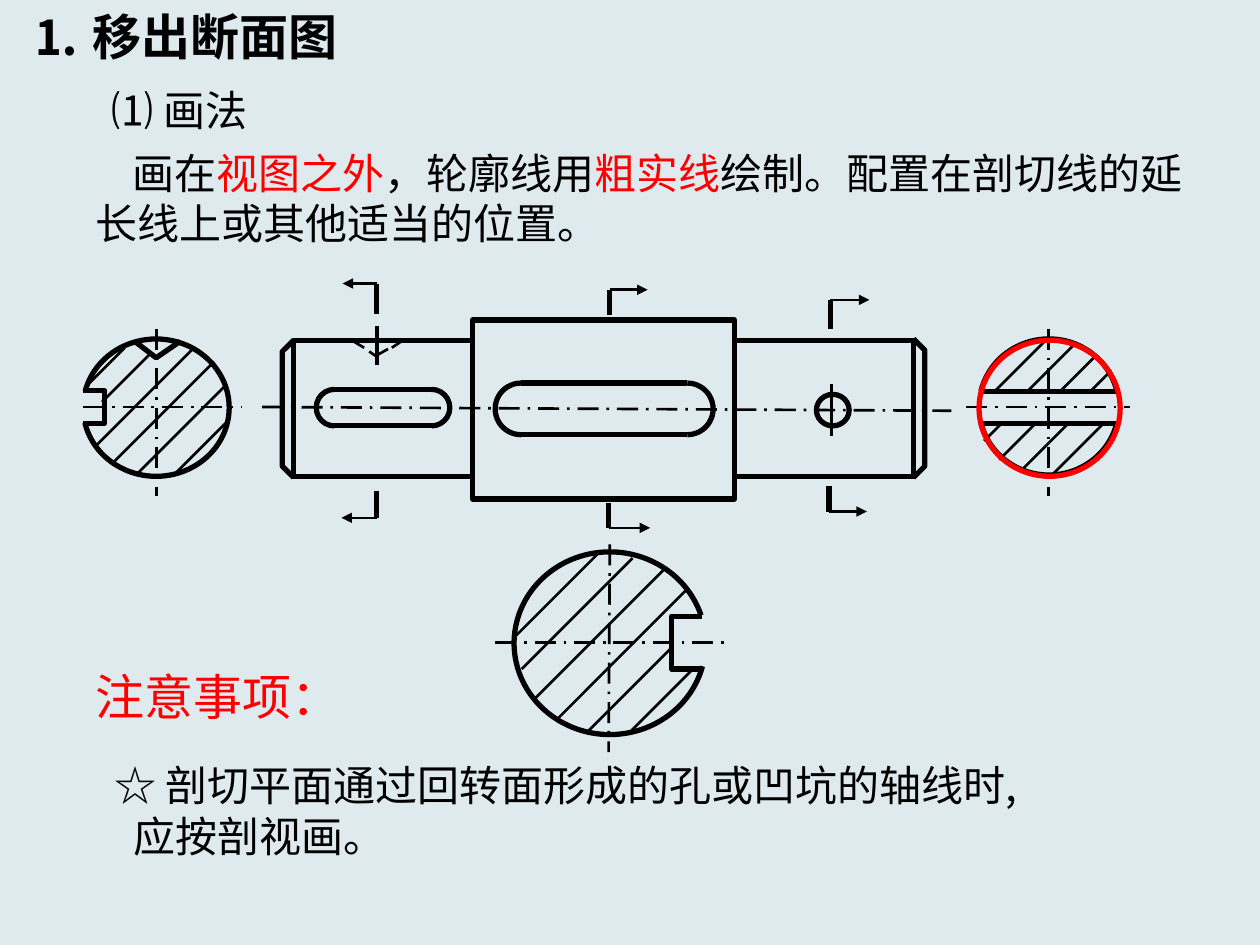
from dataclasses import dataclass
from typing import NamedTuple

from lxml import etree
from pptx import Presentation
from pptx.dml.color import RGBColor
from pptx.enum.dml import MSO_LINE
from pptx.enum.shapes import MSO_CONNECTOR, MSO_SHAPE
from pptx.enum.text import MSO_ANCHOR, PP_ALIGN
from pptx.oxml.ns import qn
from pptx.util import Inches, Pt

STRAIGHT = MSO_CONNECTOR.STRAIGHT
ARC, OVAL, RECT = MSO_SHAPE.ARC, MSO_SHAPE.OVAL, MSO_SHAPE.RECTANGLE
DASHDOT = MSO_LINE.LONG_DASH_DOT
TOP, MIDDLE = MSO_ANCHOR.TOP, MSO_ANCHOR.MIDDLE
LEFT, CENTER = PP_ALIGN.LEFT, PP_ALIGN.CENTER


@dataclass(frozen=True)
class Theme:
    ink: RGBColor = RGBColor(0, 0, 0)
    red: RGBColor = RGBColor(255, 0, 0)
    back: RGBColor = RGBColor(0xDE, 0xEA, 0xEE)
    font: str = "Noto Sans CJK SC"
    head: int = 28
    body: int = 24
    thick: float = 3
    mid: float = 2.25
    thin: float = 1.5


THEME = Theme()


class Box(NamedTuple):
    x: float
    y: float
    w: float
    h: float


class Line(NamedTuple):
    x1: float
    y1: float
    x2: float
    y2: float
    width: float = THEME.thin


class Hatch(NamedTuple):
    """A 45 degree line rising from its lower left end."""
    x: float
    y: float
    size: float


class Cut(NamedTuple):
    x: float
    y: float
    end: float
    tip: float


class Arc(NamedTuple):
    box: Box
    start: float
    stop: float


class Para(NamedTuple):
    runs: list
    margin: float = 0
    indent: float = 0


@dataclass(frozen=True)
class Note:
    box: Box
    paras: list
    size: int = THEME.body
    bold: bool = False
    anchor: MSO_ANCHOR = MIDDLE
    align: PP_ALIGN = LEFT


# Axes, hatching and cutting marks
AXES = [
    Line(7.67, 3.23, 8.97, 3.23), Line(8.32, 2.61, 8.32, 3.94),
    Line(3.93, 5.1, 5.75, 5.1), Line(4.84, 4.32, 4.83, 5.97),
    Line(0.66, 3.23, 1.92, 3.23), Line(1.24, 2.61, 1.24, 3.94),
    Line(2.08, 3.23, 7.55, 3.26),
]
HATCHES = [
    # right section
    Hatch(8.16, 3.1, 0.36), Hatch(7.9, 3.1, 0.42), Hatch(8.42, 3.1, 0.28),
    Hatch(8.65, 3.11, 0.17), Hatch(7.93, 3.65, 0.28), Hatch(7.81, 3.5, 0.13),
    Hatch(8.1, 3.74, 0.38), Hatch(8.33, 3.79, 0.43),
    # lower section
    Hatch(5, 5.81, 0.5), Hatch(4.24, 5.55, 1.05), Hatch(4.14, 5.31, 0.88),
    Hatch(4.08, 5.06, 0.67), Hatch(4.43, 5.7, 1.01), Hatch(4.66, 5.81, 0.67),
    # left section
    Hatch(1.08, 3.77, 0.72), Hatch(0.89, 3.68, 0.81), Hatch(0.75, 3.55, 0.78),
    Hatch(0.81, 3.19, 0.39), Hatch(0.7, 3.05, 0.29), Hatch(1.37, 3.78, 0.45),
]
CUTS = [
    Cut(2.99, 2.25, 2.49, 2.72), Cut(2.99, 4.11, 3.9, 2.71),
    Cut(4.84, 2.3, 2.5, 5.14), Cut(4.83, 4.19, 3.99, 5.16),
    Cut(6.59, 2.38, 2.61, 6.9), Cut(6.58, 4.06, 3.86, 6.88),
]

# Outlines of shaft and sections
SHAFT = [Box(2.33, 2.7, 1.42, 1.08), Box(5.83, 2.7, 1.42, 1.08),
         Box(3.75, 2.54, 2.08, 1.42)]
SLOTS = [Box(2.51, 3.09, 1.06, 0.29), Box(3.93, 3.04, 1.73, 0.41)]
HOLE = Box(6.48, 3.13, 0.26, 0.25)
RING = Box(7.77, 2.7, 1.12, 1.08)
ARCS = [
    Arc(Box(0.66, 2.69, 1.16, 1.09), 193, 168),
    Arc(Box(4.08, 4.38, 1.52, 1.45), 14, 343),
    Arc(Box(7.77, 2.69, 1.11, 1.08), 193, 347),
    Arc(Box(7.77, 2.69, 1.11, 1.08), 13, 167),
]
PATHS = [
    [(2.33, 2.7), (2.24, 2.79), (2.24, 3.7), (2.33, 3.79)],
    [(7.25, 2.69), (7.34, 2.78), (7.34, 3.7), (7.25, 3.79)],
    [(0.66, 3.1), (0.83, 3.1), (0.83, 3.36), (0.66, 3.36)],
    [(5.57, 4.89), (5.33, 4.89), (5.33, 5.31), (5.58, 5.31)],
    [(1.07, 2.71), (1.24, 2.84), (1.43, 2.71)],
]
LINES = [
    Line(7.77, 3.11, 8.88, 3.11, THEME.thick),
    Line(7.77, 3.36, 8.88, 3.36, THEME.thick),
    Line(2.99, 2.59, 2.99, 2.9, THEME.mid), Line(6.6, 3.05, 6.6, 3.46),
    # hidden pit
    Line(2.99, 2.82, 3.08, 2.77), Line(3.11, 2.76, 3.2, 2.7),
    Line(2.99, 2.83, 2.93, 2.79), Line(2.89, 2.76, 2.79, 2.7),
]

NOTES = [
    Note(Box(0.16, 0, 4.23, 0.57), [Para([("⒈ 移出断面图", THEME.ink)])],
         THEME.head, True, TOP),
    Note(Box(0.32, 0.62, 2.21, 0.5), [Para([("⑴ 画法", THEME.ink)])],
         align=CENTER),
    Note(Box(0.66, 1.12, 8.85, 0.9), [Para([
        ("画在", THEME.ink), ("视图之外", THEME.red),
        ("，轮廓线用", THEME.ink), ("粗实线", THEME.red),
        ("绘制。配置在剖切线的延长线上或其他适当的位置。", THEME.ink)],
        indent=0.29)]),
    Note(Box(0.66, 5.24, 2.87, 0.57), [Para([("注意事项：", THEME.red)])],
         THEME.head, anchor=TOP),
    Note(Box(0.81, 5.98, 8.86, 0.9), [
        Para([("☆ 剖切平面通过回转面形成的孔或凹坑的轴线时,", THEME.ink)]),
        Para([("应按剖视画。", THEME.ink)], margin=0.15)]),
]


def draw_line(shapes, line: Line, dash=None, arrow: bool = False) -> None:
    ends = [Inches(v) for v in line[:4]]
    item = shapes.add_connector(STRAIGHT, *ends)
    item.line.color.rgb = THEME.ink
    item.line.width = Pt(line.width)
    if dash:
        item.line.dash_style = dash
    if arrow:
        etree.SubElement(item.line._get_or_add_ln(), qn("a:tailEnd"),
                         type="triangle")
    etree.SubElement(item._element.spPr, qn("a:effectLst"))


def style(shape, color: RGBColor = THEME.ink) -> None:
    shape.shadow.inherit = False
    shape.fill.background()
    shape.line.color.rgb = color
    shape.line.width = Pt(THEME.thick)


def draw_shape(shapes, kind, box: Box, color: RGBColor = THEME.ink):
    shape = shapes.add_shape(kind, *[Inches(v) for v in box])
    style(shape, color)
    return shape


def draw_arc(shapes, arc: Arc) -> None:
    shape = draw_shape(shapes, ARC, arc.box)
    for i, angle in enumerate((arc.start, arc.stop)):
        shape.adjustments[i] = angle * 0.6  # 60000 units a degree / 100000


def draw_slot(shapes, box: Box) -> None:
    x, y, w, h = box
    draw_arc(shapes, Arc(Box(x, y, h, h), 90, 270))
    draw_arc(shapes, Arc(Box(x + w - h, y, h, h), 270, 90))
    for level in (y, y + h):
        draw_line(shapes, Line(x + h / 2, level, x + w - h / 2, level,
                               THEME.thick))


def draw_path(shapes, points: list) -> None:
    first, *rest = [(Inches(x), Inches(y)) for x, y in points]
    pen = shapes.build_freeform(*first)
    pen.add_line_segments(rest, close=False)
    style(pen.convert_to_shape())


def draw_cut(shapes, cut: Cut) -> None:
    draw_line(shapes, Line(cut.x, cut.y, cut.x, cut.end, THEME.thick))
    draw_line(shapes, Line(cut.x, cut.y, cut.tip, cut.y), arrow=True)


def draw_note(shapes, note: Note) -> None:
    frame = shapes.add_textbox(*[Inches(v) for v in note.box]).text_frame
    frame.word_wrap = True
    frame.vertical_anchor = note.anchor
    for i, para in enumerate(note.paras):
        item = frame.add_paragraph() if i else frame.paragraphs[0]
        item.alignment = note.align
        props = item._p.get_or_add_pPr()
        props.set("marL", str(Inches(para.margin)))
        props.set("indent", str(Inches(para.indent)))
        for text, color in para.runs:
            run = item.add_run()
            run.text = text
            run.font.size = Pt(note.size)
            run.font.bold = note.bold
            run.font.color.rgb = color
            run.font.name = THEME.font
            etree.SubElement(run.font._element, qn("a:ea"),
                             typeface=THEME.font)


def main() -> None:
    deck = Presentation()
    deck.slide_width, deck.slide_height = Inches(10), Inches(7.5)
    slide = deck.slides.add_slide(deck.slide_layouts[6])
    slide.background.fill.solid()
    slide.background.fill.fore_color.rgb = THEME.back
    shapes = slide.shapes

    # Thin work
    for axis in AXES:
        draw_line(shapes, axis, DASHDOT)
    for x, y, size in HATCHES:
        draw_line(shapes, Line(x, y, x + size, y - size))
    for cut in CUTS:
        draw_cut(shapes, cut)

    # Outlines
    for box in SHAFT:
        draw_shape(shapes, RECT, box)
    for slot in SLOTS:
        draw_slot(shapes, slot)
    for arc in ARCS:
        draw_arc(shapes, arc)
    for points in PATHS:
        draw_path(shapes, points)
    for line in LINES:
        draw_line(shapes, line)
    draw_shape(shapes, OVAL, HOLE)
    draw_shape(shapes, OVAL, RING, THEME.red)

    # Text
    for note in NOTES:
        draw_note(shapes, note)
    deck.save("out.pptx")


if __name__ == "__main__":
    main()
